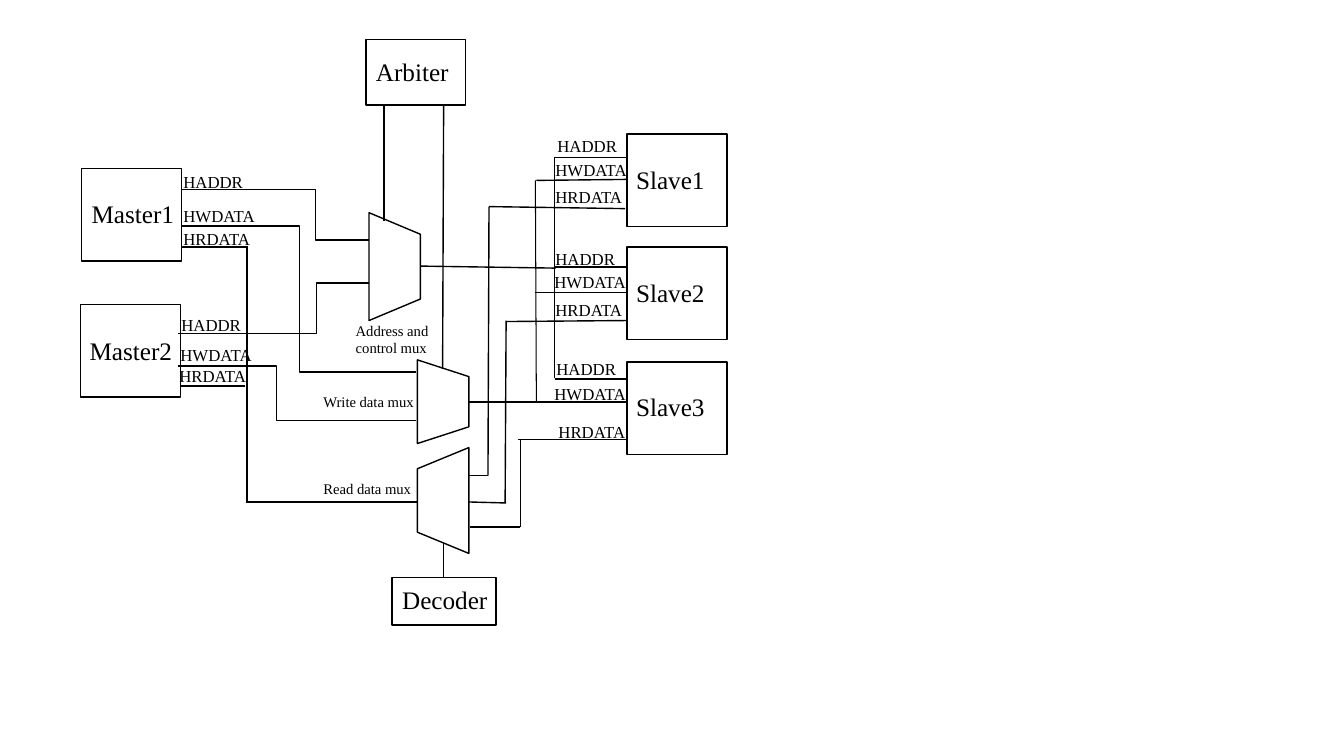
from lxml.etree import SubElement
from pptx import Presentation
from pptx.dml.color import RGBColor as Rgb
from pptx.enum.shapes import MSO_CONNECTOR as Link, MSO_SHAPE as Kind
from pptx.oxml.ns import qn
from pptx.util import Inches, Pt

COLORS = {"ink": "000000"}
FONT = "Times New Roman"

UNITS = [
    ("Master1", (0.81, 1.67, 0.99, 0.92), (0.81, 1.92, 1.06)),
    ("Master2", (0.8, 3.02, 0.99, 0.92), (0.79, 3.28, 1.03)),
    ("Arbiter", (3.63, 0.39, 0.99, 0.65), (3.63, 0.51, 0.93)),
    ("Slave1", (6.22, 1.33, 0.99, 0.92), (6.21, 1.58, 0.89)),
    ("Slave2", (6.22, 2.45, 0.99, 0.92), (6.21, 2.7, 0.89)),
    ("Slave3", (6.22, 3.59, 0.99, 0.92), (6.21, 3.83, 0.89)),
    ("Decoder", (3.89, 5.73, 1.03, 0.47), (3.89, 5.75, 1.1)),
]

MUXES = [
    ("Address and\ncontrol mux", (3.38, 2.39, 1.07, 0.51), 270, (3.43, 3.14, 1.01, 0.47)),
    ("Write data mux", (3.98, 3.73, 0.83, 0.51), 270, (3.11, 3.85, 1.13, 0.28)),
    ("Read data mux", (3.87, 4.71, 1.05, 0.51), 90, (3.11, 4.71, 1.09, 0.28)),
]

SIGNALS = {
    "HADDR": (0.8, [(1.72, 1.65), (1.7, 3.07), (5.43, 1.3), (5.41, 2.42), (5.42, 3.51)]),
    "HWDATA": (0.92, [(1.72, 1.99), (1.69, 3.37), (5.41, 1.54), (5.4, 2.65), (5.4, 3.76)]),
    "HRDATA": (0.92, [(1.72, 2.22), (1.68, 3.58), (5.41, 1.8), (5.41, 2.92), (5.44, 4.13)]),
}

BENDS = [
    (1.8, 1.88, 3.66, 2.38, 3.13),
    (1.77, 3.31, 3.66, 2.81, 3.14),
    (1.81, 2.24, 4.13, 3.69, 2.97),
    (1.77, 3.63, 4.13, 4.17, 2.74),
]

WIRES = {
    "select": [(3.81, 1.04, 3.81, 2.19), (4.4, 1.05, 4.39, 3.66), (4.4, 5.39, 4.4, 5.73)],
    "address": [
        (4.17, 2.64, 5.51, 2.66), (5.5, 1.56, 5.5, 3.75),
        (5.5, 2.65, 6.21, 2.65), (5.5, 3.76, 6.21, 3.76),
    ],
    "write": [
        (4.65, 3.99, 5.32, 3.99), (5.32, 1.79, 6.21, 1.78),
        (5.31, 2.9, 6.21, 2.9), (5.32, 3.99, 6.21, 3.99),
    ],
    "read": [
        (4.85, 2.05, 6.2, 2.07), (4.85, 2.05, 4.84, 4.72), (4.84, 4.72, 4.65, 4.72),
        (5.03, 3.19, 6.21, 3.18), (5.02, 3.18, 5.01, 4.99), (5.02, 4.99, 4.65, 4.98),
        (5.14, 4.36, 6.22, 4.36), (5.16, 4.36, 5.16, 5.23), (5.16, 5.23, 4.66, 5.23),
        (1.8, 2.45, 2.44, 2.45), (1.79, 3.83, 2.43, 3.83),
        (2.45, 2.44, 2.45, 4.98), (2.44, 4.98, 4.14, 4.98),
    ],
}
THIN = [(5.5, 1.56, 6.21, 1.56, 0.5), (5.31, 1.79, 5.32, 3.99, 0.75)]


def ink():
    return Rgb.from_string(COLORS["ink"])


def outline(shape, width=1):
    shape.line.color.rgb = ink()
    shape.line.width = Pt(width)


def block(slide, kind, box, turn=0):
    shape = slide.shapes.add_shape(kind, *map(Inches, box))
    shape.rotation = turn
    shape.fill.background()
    shape.shadow.inherit = False
    outline(shape)


def label(slide, text, box, size):
    frame = slide.shapes.add_textbox(*map(Inches, box)).text_frame
    frame.word_wrap = False
    frame.text = text
    for para in frame.paragraphs:
        for run in para.runs:
            run.font.name = FONT
            run.font.size = Pt(size)
            run.font.color.rgb = ink()


def wire(slide, ends, width=1, bend=None):
    kind = Link.STRAIGHT if bend is None else Link.ELBOW
    line = slide.shapes.add_connector(kind, *map(Inches, ends))
    outline(line, width)
    props = line._element.spPr
    SubElement(props, qn("a:effectLst"))
    if bend is not None:
        left, _, right, _ = ends
        ratio = round((bend - left) / (right - left) * 100000)
        guides = props.find(qn("a:prstGeom")).get_or_add_avLst()
        SubElement(guides, qn("a:gd"), name="adj1", fmla=f"val {ratio}")


def main():
    deck = Presentation()
    deck.slide_width, deck.slide_height = Inches(13.33), Inches(7.5)
    slide = deck.slides.add_slide(deck.slide_layouts[6])

    for name, box, spot in UNITS:
        block(slide, Kind.RECTANGLE, box)
        label(slide, name, (*spot, 0.4), 18)
    for name, box, turn, spot in MUXES:
        block(slide, Kind.FLOWCHART_MANUAL_OPERATION, box, turn)
        label(slide, name, spot, 10.5)
    for *ends, bend in BENDS:
        wire(slide, ends, bend=bend)
    for group in WIRES.values():
        for ends in group:
            wire(slide, ends)
    for *ends, width in THIN:
        wire(slide, ends, width)
    for name, (width, spots) in SIGNALS.items():
        for spot in spots:
            label(slide, name, (*spot, width, 0.3), 12)

    deck.save("out.pptx")


if __name__ == "__main__":
    main()
